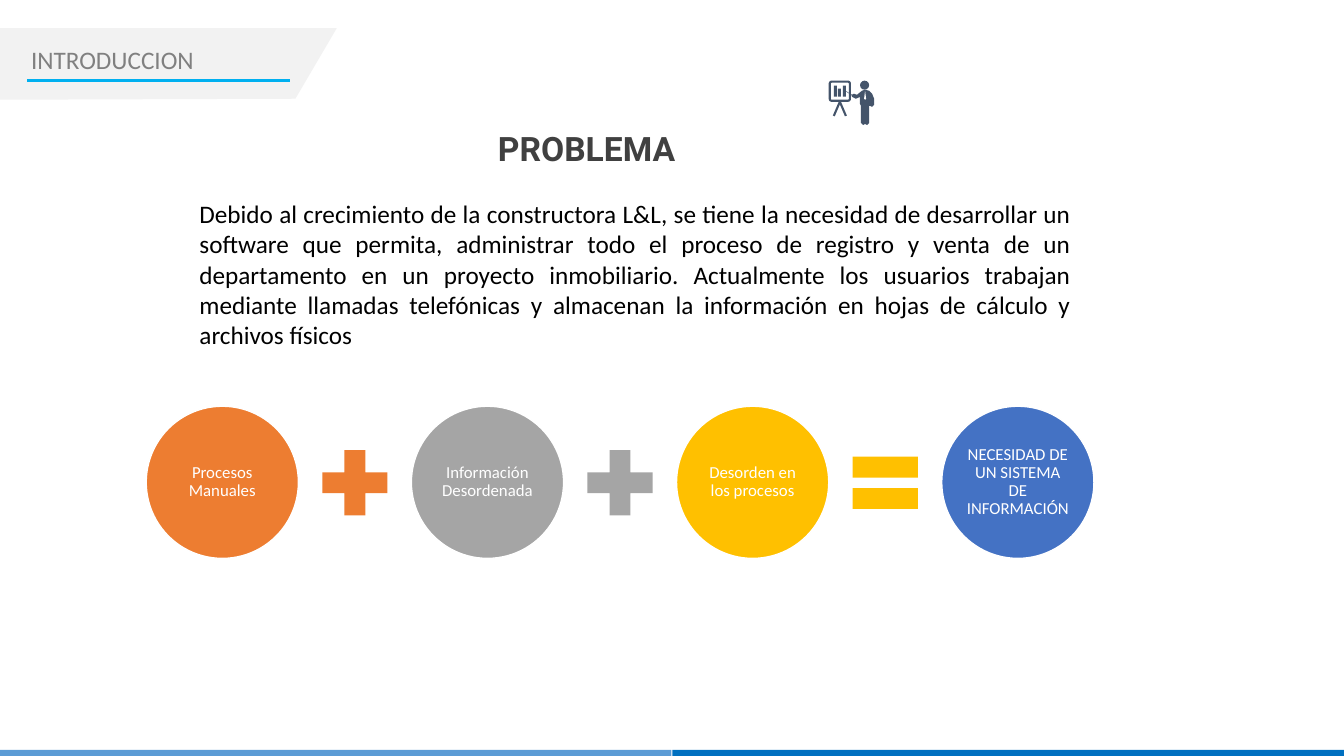
import pptx
import pptx.dml.color
import pptx.enum.shapes
import pptx.enum.text
import pptx.oxml
import pptx.oxml.ns
import pptx.util

Inches = pptx.util.Inches
Pt = pptx.util.Pt
KIND = pptx.enum.shapes.MSO_SHAPE
ALIGN = pptx.enum.text.PP_ALIGN
ANCHOR = pptx.enum.text.MSO_ANCHOR
FIT = pptx.enum.text.MSO_AUTO_SIZE

NAVY = "44546A"
BODY = (
    "Debido al crecimiento de la constructora L&L, se tiene la necesidad de "
    "desarrollar un software que permita, administrar todo el proceso de "
    "registro y venta de un departamento en un proyecto inmobiliario. "
    "Actualmente los usuarios trabajan mediante llamadas telefónicas y "
    "almacenan la información en hojas de cálculo y archivos físicos"
)
# Circle text, circle colour, sign that follows
STEPS = [
    ("Procesos Manuales", "ED7D31", KIND.MATH_PLUS),
    ("Información Desordenada", "A5A5A5", KIND.MATH_PLUS),
    ("Desorden en los procesos", "FFC000", KIND.MATH_EQUAL),
    ("NECESIDAD DE UN SISTEMA DE INFORMACIÓN", "4472C4", None),
]


def color(code):
    return pptx.dml.color.RGBColor.from_string(code)


def paint(shape, fill, line=None, width=1):
    shape.shadow.inherit = False
    if fill:
        shape.fill.solid()
        shape.fill.fore_color.rgb = color(fill)
    else:
        shape.fill.background()
    if line:
        shape.line.color.rgb = color(line)
        shape.line.width = Pt(width)
    else:
        shape.line.fill.background()


def add_form(slide, kind, box, fill, line=None, width=1):
    shape = slide.shapes.add_shape(kind, *map(Inches, box))
    paint(shape, fill, line, width)
    return shape


def add_path(slide, points, fill):
    spots = [(Inches(x), Inches(y)) for x, y in points]
    pen = slide.shapes.build_freeform(*spots[0])
    pen.add_line_segments(spots[1:], close=True)
    paint(pen.convert_to_shape(), fill)


def add_line(slide, start, end, tint, width):
    line = slide.shapes.add_connector(
        pptx.enum.shapes.MSO_CONNECTOR.STRAIGHT,
        *map(Inches, start + end))
    line.line.color.rgb = color(tint)
    line.line.width = Pt(width)
    line._element.spPr.append(pptx.oxml.parse_xml(
        "<a:effectLst %s/>" % pptx.oxml.ns.nsdecls("a")))


def write(frame, text, size, tint, font="Calibri", bold=False,
          align=ALIGN.LEFT):
    para = frame.paragraphs[0]
    para.text = text
    para.alignment = align
    para.font.size = Pt(size)
    para.font.name = font
    para.font.bold = bold
    para.font.color.rgb = color(tint)
    return para


def add_text(slide, box, text, size, tint, wrap=True, **style):
    frame = slide.shapes.add_textbox(*map(Inches, box)).text_frame
    frame.word_wrap = wrap
    frame.auto_size = FIT.SHAPE_TO_FIT_TEXT
    write(frame, text, size, tint, **style)


def add_step(slide, left, text, fill, sign):
    disc = add_form(slide, KIND.OVAL, (left, 4.03, 1.51, 1.51), fill, "FFFFFF")
    frame = disc.text_frame
    frame.word_wrap = True
    frame.vertical_anchor = ANCHOR.MIDDLE
    frame.margin_left = frame.margin_right = Inches(0.02)
    frame.margin_top = frame.margin_bottom = Inches(0.02)
    para = write(frame, text, 12, "FFFFFF", align=ALIGN.CENTER)
    para.line_spacing = 0.9
    if sign:
        add_form(slide, sign, (left + 1.63, 4.35, 0.88, 0.88), fill)


def add_icon(slide):
    # Easel with a bar chart
    board = add_form(slide, KIND.ROUNDED_RECTANGLE,
                     (8.23, 0.81, 0.2, 0.19), None, NAVY, 1.5)
    board.adjustments[0] = 0.1
    for foot in (8.27, 8.39):
        add_line(slide, (8.33, 1.01), (foot, 1.15), NAVY, 1.5)
    for left, top in ((8.27, 0.85), (8.31, 0.88), (8.36, 0.85)):
        add_form(slide, KIND.RECTANGLE, (left, top, 0.03, 0.96 - top), NAVY)
    # Speaker with pointer and tie
    add_form(slide, KIND.OVAL, (8.53, 0.8, 0.09, 0.09), NAVY)
    add_path(slide, [
        (8.37, 0.89), (8.45, 0.94), (8.47, 0.93), (8.5, 0.94), (8.55, 0.9),
        (8.58, 0.89), (8.62, 0.9), (8.65, 0.93), (8.67, 0.98), (8.67, 1.04),
        (8.65, 1.06), (8.63, 1.05), (8.62, 1.05), (8.62, 1.22), (8.6, 1.24),
        (8.58, 1.23), (8.56, 1.24), (8.54, 1.22), (8.54, 1.05), (8.53, 1.03),
        (8.53, 0.96), (8.49, 0.98), (8.45, 0.96), (8.45, 0.95)], NAVY)
    add_path(slide, [(8.58, 0.9), (8.57, 0.98), (8.58, 0.99), (8.59, 0.98)],
             "FFFFFF")


def main():
    deck = pptx.Presentation()
    deck.slide_width = Inches(13.33)
    deck.slide_height = Inches(7.5)
    slide = deck.slides.add_slide(deck.slide_layouts[6])

    # Footer band
    for left, fill in ((0, "5B9BD5"), (6.67, "0070C0")):
        add_form(slide, KIND.RECTANGLE, (left, 7.44, 6.66, 0.06), fill)

    # Section tab
    add_path(slide, [(0, 0.28), (3.34, 0.28), (2.93, 0.98), (0, 0.99)],
             "F2F2F2")
    add_text(slide, (0.21, 0.39, 1.83, 0.4), "INTRODUCCION", 18, "808080",
             wrap=False)
    add_line(slide, (0.27, 0.8), (2.88, 0.8), "00B0F0", 2.25)

    # Problem statement
    add_icon(slide)
    add_text(slide, (1.88, 1.92, 8.84, 1.62), BODY, 18, "000000",
             align=ALIGN.JUSTIFY)
    add_text(slide, (4.84, 1.22, 3.65, 0.5), "PROBLEMA", 24, "404040",
             font="Roboto", bold=True)

    # Equation of causes
    for index, step in enumerate(STEPS):
        add_step(slide, 1.45 + 2.63 * index, *step)

    deck.save("out.pptx")


if __name__ == "__main__":
    main()
